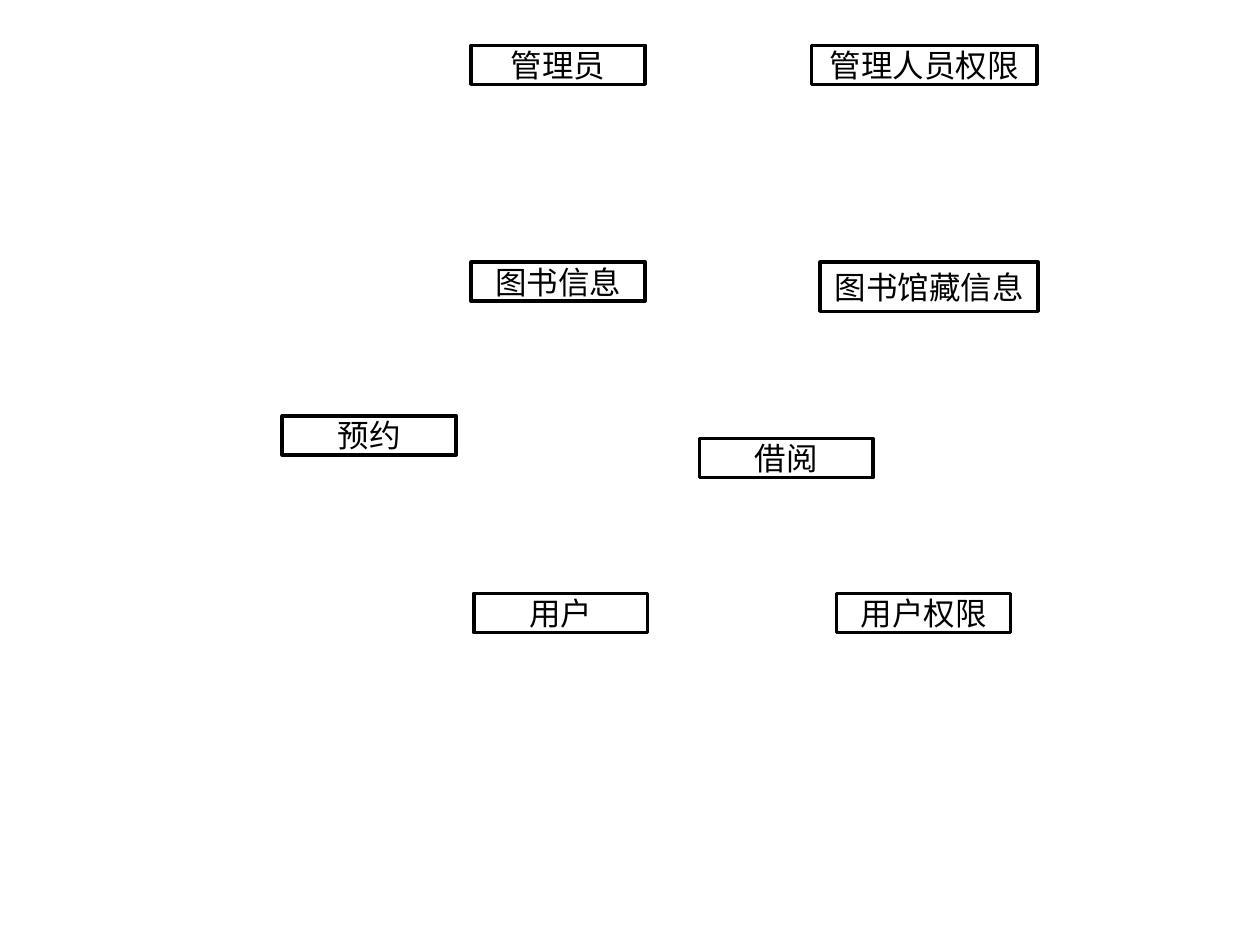
from dataclasses import dataclass

from pptx import Presentation
from pptx.dml.color import RGBColor
from pptx.enum.shapes import MSO_SHAPE
from pptx.enum.text import MSO_ANCHOR, PP_ALIGN
from pptx.util import Pt

RECTANGLE = MSO_SHAPE.RECTANGLE
MIDDLE = MSO_ANCHOR.MIDDLE
CENTER = PP_ALIGN.CENTER


@dataclass(frozen=True)
class Theme:
    """Colours, type and line sizes of the diagram."""
    ink: RGBColor = RGBColor(0, 0, 0)
    paper: RGBColor = RGBColor(255, 255, 255)
    font: str = "Calibri"
    label_size: float = 18
    border: float = 2


THEME = Theme()
SLIDE_BOX = (0, 0, 720, 540)
ENTITY_WIDTH, ENTITY_HEIGHT = 99.4, 22.3
ADMIN_ROW, BOOK_ROW, USER_ROW = 25.9, 149.8, 339.1
MAIN_COLUMN = 269.3

# Label, left, top, width, height
ENTITIES = [
    ("图书馆藏信息", 468.7, BOOK_ROW, 124.6, 28.1),
    ("图书信息", MAIN_COLUMN, BOOK_ROW, ENTITY_WIDTH, ENTITY_HEIGHT),
    ("借阅", 399.6, 250.6, ENTITY_WIDTH, ENTITY_HEIGHT),
    ("预约", 161.3, 237.6, ENTITY_WIDTH, ENTITY_HEIGHT),
    ("用户", 270.7, USER_ROW, ENTITY_WIDTH, ENTITY_HEIGHT),
    ("管理人员权限", 463.7, ADMIN_ROW, 128.9, ENTITY_HEIGHT),
    ("用户权限", 478.1, USER_ROW, ENTITY_WIDTH, ENTITY_HEIGHT),
    ("管理员", MAIN_COLUMN, ADMIN_ROW, ENTITY_WIDTH, ENTITY_HEIGHT),
]


def add_entity(slide, label, box):
    """Draw one outlined entity with its centred label in the given box."""
    entity = slide.shapes.add_shape(RECTANGLE, *map(Pt, box))
    entity.shadow.inherit = False
    entity.fill.background()
    entity.line.color.rgb = THEME.ink
    entity.line.width = Pt(THEME.border)
    frame = entity.text_frame
    frame.word_wrap = True
    frame.vertical_anchor = MIDDLE
    paragraph = frame.paragraphs[0]
    paragraph.alignment = CENTER
    run = paragraph.add_run()
    run.text = label
    run.font.color.rgb = THEME.ink
    label_format = {"name": THEME.font, "size": Pt(THEME.label_size)}
    for attribute, value in label_format.items():
        setattr(run.font, attribute, value)


def add_entity_diagram(slide, box):
    """Place all library entities relative to the corner of the given box."""
    origin_x, origin_y = box[:2]
    for label, left, top, width, height in ENTITIES:
        add_entity(slide, label, (origin_x + left, origin_y + top, width, height))


def main():
    """Build and save the library entity slide."""
    presentation = Presentation()
    presentation.slide_width, presentation.slide_height = map(Pt, SLIDE_BOX[2:])
    slide = presentation.slides.add_slide(presentation.slide_layouts[6])
    background = slide.background.fill
    background.solid()
    background.fore_color.rgb = THEME.paper
    add_entity_diagram(slide, SLIDE_BOX)
    presentation.save("out.pptx")


main()
